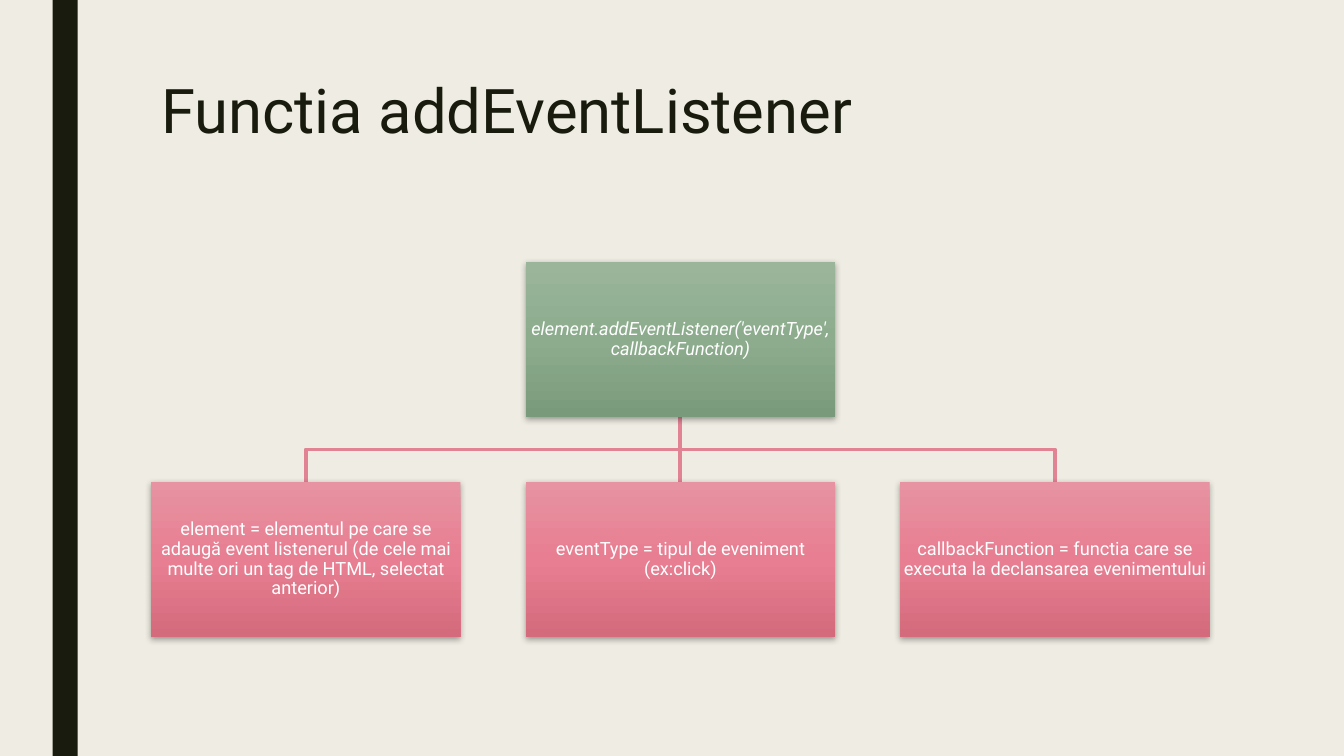
import copy
import pptx
import pptx.util
import pptx.dml.color
import pptx.enum.shapes
import pptx.enum.text
import pptx.oxml

Pt = pptx.util.Pt
SHAPE = pptx.enum.shapes.MSO_SHAPE
ALIGN = pptx.enum.text.PP_ALIGN
ANCHOR = pptx.enum.text.MSO_ANCHOR
COLOURS = {"paper": "EFEDE3", "ink": "191B0E", "line": "E28394", "white": "FFFFFF"}
GREEN = {0: "9BB59B", 0.5: "8CAC8D", 1: "7A9B7B"}
PINK = {0: "E793A2", 0.5: "E77E91", 1: "D36B7D"}
NAMESPACE = 'xmlns:a="http://schemas.openxmlformats.org/drawingml/2006/main"'
SHADOW = (
    f'<a:effectLst {NAMESPACE}><a:outerShdw blurRad="57150" dist="19050" dir="5400000" '
    'algn="ctr" rotWithShape="0"><a:srgbClr val="000000"><a:alpha val="35000"/>'
    '</a:srgbClr></a:outerShdw></a:effectLst>'
)
CALL = "element.addEventListener('eventType', callbackFunction)"
PARTS = [
    "element = elementul pe care se adaugă event listenerul (de cele mai multe ori un tag de HTML, selectat anterior)",
    "eventType = tipul de eveniment (ex:click)",
    "callbackFunction = functia care se executa la declansarea evenimentului",
]


def rgb(value):
    return pptx.dml.color.RGBColor.from_string(value)


def apply(target, values):
    for name, value in values.items():
        setattr(target, name, value)


def write(shape, text, frame_format, para_format, font_format, colour):
    frame = shape.text_frame
    apply(frame, {"word_wrap": True, "auto_size": pptx.enum.text.MSO_AUTO_SIZE.NONE, **frame_format})
    para = frame.paragraphs[0]
    apply(para, para_format)
    span = para.add_run()
    span.text = text
    apply(span.font, {"name": "Roboto", **font_format})
    span.font.color.rgb = rgb(colour)


def fill_gradient(shape, stops):
    shape.fill.gradient()
    shape.fill.gradient_angle = 270
    stop_list = shape._element.spPr.find(".//" + pptx.oxml.ns.qn("a:gsLst"))
    stop_list.append(copy.deepcopy(stop_list[0]))
    for stop, (position, colour) in zip(shape.fill.gradient_stops, stops.items()):
        stop.position = position
        stop.color.rgb = rgb(colour)


def add_title(page, left, top, width, height):
    title = page.shapes.title
    apply(title, {"left": Pt(left), "top": Pt(top), "width": Pt(width), "height": Pt(height)})
    write(title, "Functia addEventListener", {"vertical_anchor": ANCHOR.TOP},
          {"alignment": ALIGN.LEFT, "line_spacing": 0.89}, {"size": Pt(44)}, COLOURS["ink"])


def add_side_bar(page, left, top, width, height):
    bar = page.shapes.add_shape(SHAPE.RECTANGLE, Pt(left), Pt(top), Pt(width), Pt(height))
    bar.shadow.inherit = False
    bar.fill.solid()
    bar.fill.fore_color.rgb = rgb(COLOURS["ink"])
    bar.line.fill.background()


def add_card(page, left, top, width, height, text, stops, italic=False):
    card = page.shapes.add_shape(SHAPE.RECTANGLE, Pt(left), Pt(top), Pt(width), Pt(height))
    fill_gradient(card, stops)
    card.line.fill.background()
    card._element.spPr.append(pptx.oxml.parse_xml(SHADOW))
    margins = {f"margin_{side}": Pt(0.65) for side in ("left", "top", "right", "bottom")}
    write(card, text, {"vertical_anchor": ANCHOR.MIDDLE, **margins},
          {"alignment": ALIGN.CENTER, "line_spacing": 0.9},
          {"size": Pt(13), "italic": italic}, COLOURS["white"])
    return card


def style_line(shape):
    shape.line.color.rgb = rgb(COLOURS["line"])
    shape.line.width = Pt(2.75)


def add_branch(page, start_x, end_x, top, height):
    middle, bottom = top + height / 2, top + height
    builder = page.shapes.build_freeform(Pt(start_x), Pt(top))
    corners = [(start_x, middle), (end_x, middle), (end_x, bottom)]
    builder.add_line_segments([(Pt(x), Pt(y)) for x, y in corners], close=False)
    branch = builder.convert_to_shape()
    branch.shadow.inherit = False
    branch.fill.background()
    style_line(branch)


def add_tree(page, left, top, width, card_width):
    card_height = card_width / 2
    gap = (width - len(PARTS) * card_width) / (len(PARTS) - 1)
    lefts = [left + column * (card_width + gap) for column in range(len(PARTS))]
    centre = left + width / 2
    line_top = top + card_height
    for card_left in (lefts[0], lefts[-1]):
        add_branch(page, centre, card_left + card_width / 2, line_top, gap)
    trunk = page.shapes.add_connector(pptx.enum.shapes.MSO_CONNECTOR.STRAIGHT,
                                      Pt(centre), Pt(line_top), Pt(centre), Pt(line_top + gap))
    style_line(trunk)
    trunk._element.spPr.append(pptx.oxml.parse_xml(f"<a:effectLst {NAMESPACE}/>"))
    root = add_card(page, centre - card_width / 2, top, card_width, card_height, CALL, GREEN, True)
    cards = [add_card(page, card_left, line_top + gap, card_width, card_height, text, PINK)
             for card_left, text in zip(lefts, PARTS)]
    trunk.begin_connect(root, 2)
    trunk.end_connect(cards[1], 0)


def main():
    deck = pptx.Presentation()
    apply(deck, {"slide_width": Pt(960), "slide_height": Pt(540)})
    page = deck.slides.add_slide(deck.slide_layouts[5])
    page.background.fill.solid()
    page.background.fill.fore_color.rgb = rgb(COLOURS["paper"])
    add_title(page, 108, 54, 756, 117)
    add_side_bar(page, 37.5, 0, 18, 540)
    add_tree(page, 108, 187.3, 756, 221)
    deck.save("out.pptx")


if __name__ == "__main__":
    main()
